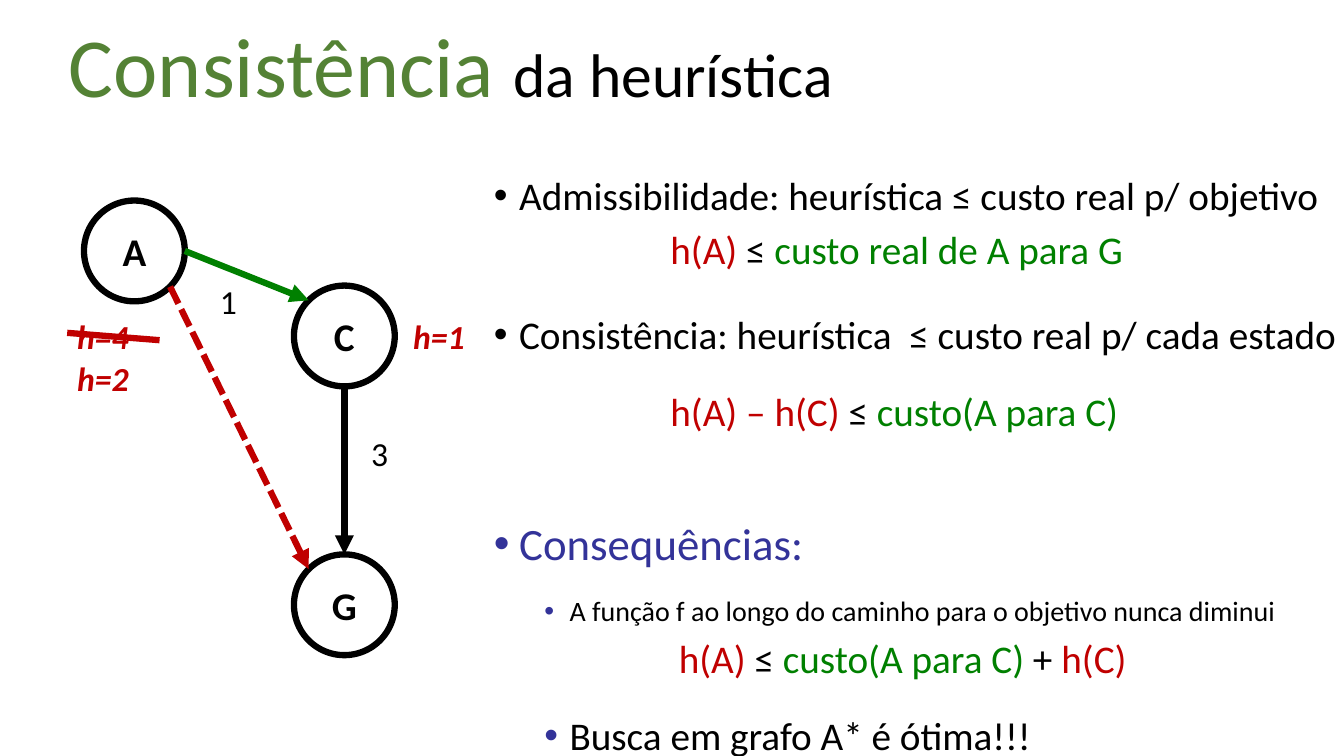
from math import cos, radians, sin

from pptx import Presentation
from pptx.dml.color import RGBColor
from pptx.enum.dml import MSO_LINE
from pptx.enum.shapes import MSO_CONNECTOR as Connector, MSO_SHAPE as Shape
from pptx.enum.text import MSO_ANCHOR as Anchor, MSO_AUTO_SIZE as AutoSize, PP_ALIGN as Align
from pptx.oxml.ns import qn
from pptx.oxml.xmlchemy import OxmlElement
from pptx.util import Pt

EMU_PER_PX = 9525
BLACK, WHITE = "000000", "FFFFFF"
RED, GREEN, BLUE, OLIVE = "C00000", "008000", "333399", "548235"
DIAMETER = 96


def px(length):
    return round(length * EMU_PER_PX)


def rgb(hex_text):
    return RGBColor.from_string(hex_text)


def child(parent, tag, **attributes):
    element = OxmlElement(tag)
    for name, value in attributes.items():
        element.set(name, str(value))
    parent.append(element)
    return element


def add_span(para, text, size=28, color=BLACK, bold=False, italic=False):
    span = para.add_run()
    span.text = text
    font = span.font
    font.name, font.size, font.bold, font.italic = "Calibri", Pt(size), bold, italic
    font.color.rgb = rgb(color)


def rim(node, angle):
    """Point on a node's circle, in degrees clockwise from the right."""
    radius = DIAMETER / 2
    left, top = node
    return (round(left + radius + radius * cos(radians(angle))),
            round(top + radius + radius * sin(radians(angle))))


class SlideBuilder:
    line_width = Pt(4.5)

    def __init__(self, deck):
        self.page = deck.slides.add_slide(deck.slide_layouts[5])
        self.shapes = self.page.shapes

    def title(self, left, top, width, height, spans):
        box = self.shapes.title
        box.left, box.top, box.width, box.height = map(px, (left, top, width, height))
        frame = box.text_frame
        frame.auto_size, frame.vertical_anchor = AutoSize.NONE, Anchor.MIDDLE
        para = frame.paragraphs[0]
        para.alignment, para.line_spacing = Align.LEFT, 0.9
        for text, style in spans:
            add_span(para, text, **style)

    def text_box(self, left, top, width, height, wrap=True):
        frame = self.shapes.add_textbox(*map(px, (left, top, width, height))).text_frame
        frame.word_wrap = wrap
        return frame

    def label(self, left, top, text, **style):
        frame = self.text_box(left, top, 36 if len(text) == 1 else 77, 48, wrap=False)
        add_span(frame.paragraphs[0], text, size=24, **style)

    def paragraph(self, para, spans, margin, bullet=None, before=0, spacing=1.5):
        """Fill a paragraph; bullet is the bullet's colour, or None for no bullet."""
        properties = para._p.get_or_add_pPr()
        properties.set("marL", str(px(margin)))
        properties.set("indent", str(px(-24 if bullet else 0)))
        if bullet:
            child(child(properties, "a:buClr"), "a:srgbClr", val=bullet)
            child(properties, "a:buFont", typeface="Arial")
            child(properties, "a:buChar", char="•")
        para.line_spacing, para.space_before = spacing, Pt(before)
        for text, style in spans:
            add_span(para, text, **style)

    def node(self, position, text):
        circle = self.shapes.add_shape(
            Shape.OVAL, *map(px, (*position, DIAMETER, DIAMETER)))
        circle.shadow.inherit = False
        circle.fill.solid()
        circle.fill.fore_color.rgb = rgb(WHITE)
        circle.line.color.rgb, circle.line.width = rgb(BLACK), self.line_width
        circle.text_frame.vertical_anchor = Anchor.MIDDLE
        para = circle.text_frame.paragraphs[0]
        para.alignment = Align.CENTER
        add_span(para, text, bold=True)

    def line(self, start, end, color, arrow=True, dotted=False):
        connector = self.shapes.add_connector(
            Connector.STRAIGHT, *map(px, (*start, *end)))
        connector.line.color.rgb, connector.line.width = rgb(color), self.line_width
        if dotted:
            connector.line.dash_style = MSO_LINE.SQUARE_DOT
        if arrow:
            outline = connector._element.spPr.find(qn("a:ln"))
            child(outline, "a:tailEnd", type="triangle")
        child(connector._element.spPr, "a:effectLst")


def add_explanation(builder):
    red, green = {"color": RED}, {"color": GREEN}
    at_most = ("≤ ", {})
    outer = {"margin": 24, "before": 10}
    inner = {"margin": 72, "before": 5, "bullet": BLUE}
    formula = {"margin": 168, "before": 5}
    entries = [
        ([("Admissibilidade: heurística ≤ custo real p/ objetivo", {})],
         {"margin": 24, "bullet": BLACK}),
        ([("h(A) ", red), at_most, ("custo real de A para G", green)],
         {**formula, "spacing": 1}),
        ([("Consistência: heurística  ≤ custo real p/ cada estado", {})],
         {**outer, "bullet": BLACK}),
        ([("h(A) – h(C) ", red), at_most, ("custo(A para C)", green)], formula),
        ([("Consequências:", {"size": 32, "color": BLUE})],
         {**outer, "bullet": BLUE, "before": 39}),
        ([("A função f ao longo do caminho para o objetivo nunca diminui", {"size": 20})],
         inner),
        ([("h(A) ", red), at_most, ("custo(A para C) ", green), ("+ ", {}), ("h(C)", red)],
         {**formula, "margin": 176, "spacing": 1}),
        ([("Busca em grafo A* é ótima!!!", {})], inner),
    ]
    frame = builder.text_box(461, 136, 835, 320)
    for index, (spans, layout) in enumerate(entries):
        para = frame.add_paragraph() if index else frame.paragraphs[0]
        builder.paragraph(para, spans, **layout)


def add_graph(builder):
    nodes = {"A": (80, 191), "C": (280, 272), "G": (280, 528)}
    builder.line(rim(nodes["C"], 90), rim(nodes["G"], 270), BLACK)
    for name, position in nodes.items():
        builder.node(position, name)
    builder.line(rim(nodes["A"], 45), rim(nodes["G"], 225), RED, dotted=True)
    builder.line(rim(nodes["A"], 0), rim(nodes["C"], 225), GREEN)
    for left, top, cost in [(200, 263, "1"), (344, 408, "3")]:
        builder.label(left, top, cost)
    for left, top, estimate in [(64, 296, "h=4"), (384, 296, "h=1"), (64, 336, "h=2")]:
        builder.label(left, top, estimate, color=RED, bold=True, italic=True)
    builder.line((64, 317), (152, 324), RED, arrow=False)


def main():
    deck = Presentation()
    deck.slide_width, deck.slide_height = px(1280), px(720)
    builder = SlideBuilder(deck)
    builder.title(56, -3, 1104, 139, [
        ("Consistência ", {"size": 60, "color": OLIVE}),
        ("da heurística", {"size": 44}),
    ])
    add_explanation(builder)
    add_graph(builder)
    deck.save("out.pptx")


if __name__ == "__main__":
    main()
